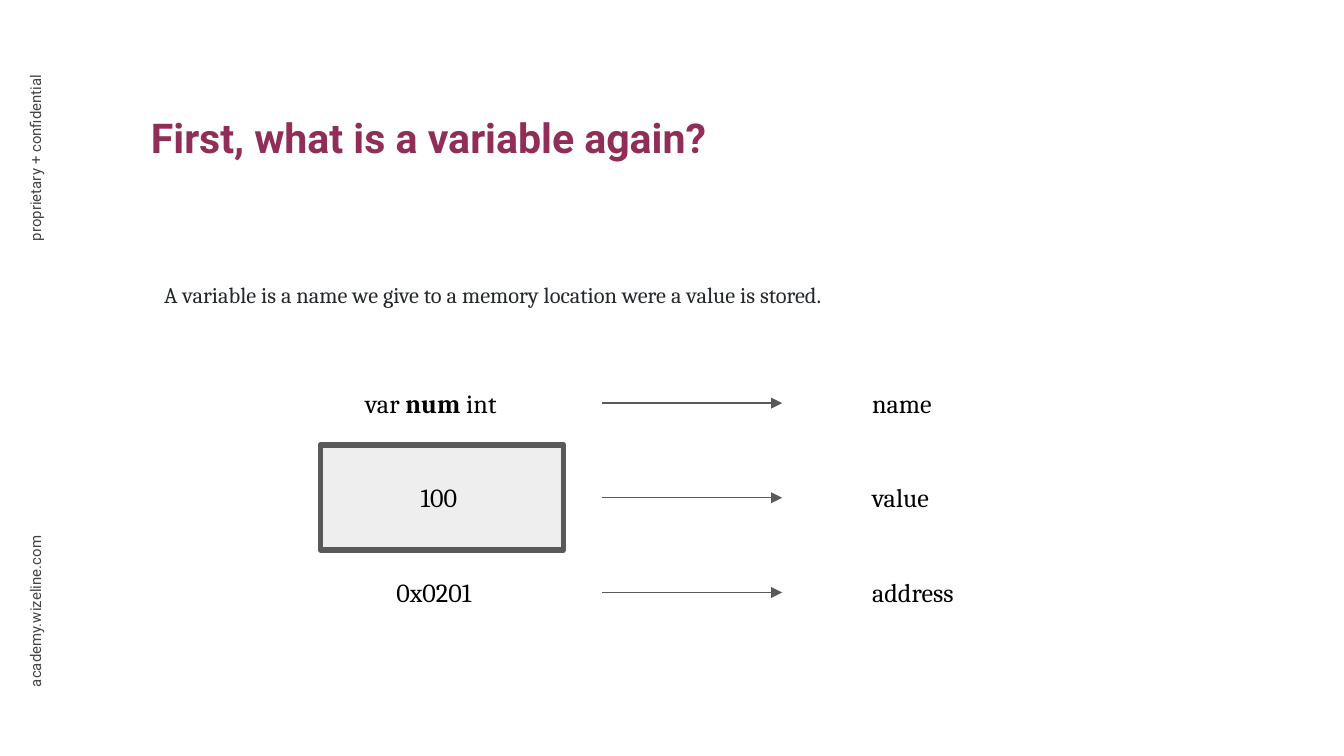
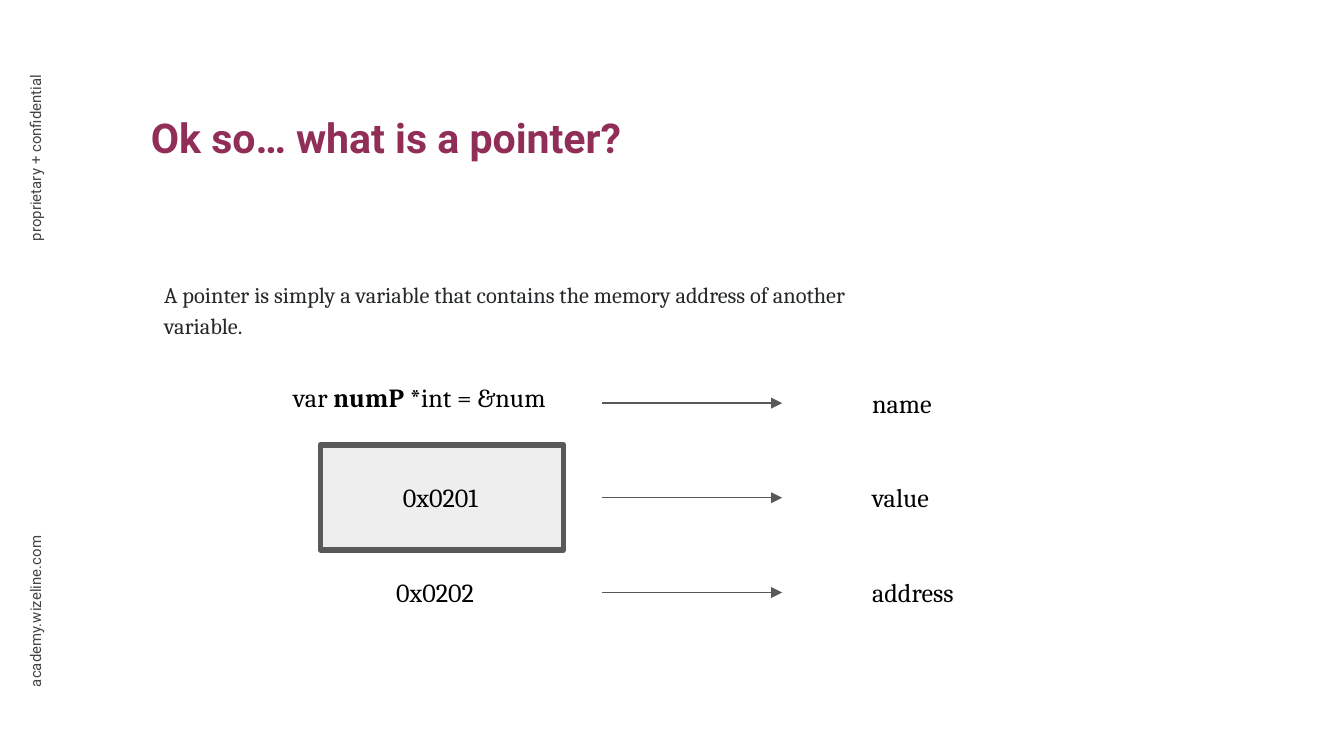
from lxml.etree import SubElement
from pptx import Presentation
from pptx.dml.color import RGBColor as RGB
from pptx.enum.shapes import MSO_CONNECTOR as Connector, MSO_SHAPE as Shape
from pptx.enum.text import MSO_AUTO_SIZE as AutoSize, PP_ALIGN as Align
from pptx.oxml.ns import qn
from pptx.util import Pt

COLORS = {
    "title": "902E57",
    "body": "25282A",
    "margin": "434343",
    "diagram": "000000",
    "stroke": "595959",
    "cell": "EEEEEE",
}
SANS, SERIF = "Roboto", "Cambria"
ROW_PITCH, ROW_HEIGHT = 50.75, 31.7
ROW_LABELS = ("name", "value", "address")

SLIDES = [
    {
        "title": "First, what is a variable again?",
        "body": "A variable is a name we give to a memory location were a value is stored.",
        "body_height": 28,
        "rows": [
            (38.6, 0, 96.5, ["var ", "num", " int"]),
            (68.2, 0, 54, ["100"]),
            (55.2, 0, 62, ["0x0201"]),
        ],
    },
    {
        "title": "Ok so… what is a pointer?",
        "body": "A pointer is simply a variable that contains the memory address of another variable.",
        "body_height": 46,
        "rows": [
            (0, -3, 181.4, ["var ", "numP ", "*int = &num"]),
            (58.8, 0, 64, ["0x0201"]),
            (55.2, 0, 64, ["0x0202"]),
        ],
    },
]


def add_text(slide, box, pieces, size, font, color, inset=0, bold=None):
    """Add a wrapped text box, the second of several pieces bold, and return it."""
    holder = slide.shapes.add_textbox(*map(Pt, box))
    frame = holder.text_frame
    frame.word_wrap = True
    frame.margin_left = frame.margin_right = Pt(inset)
    frame.margin_top = frame.margin_bottom = Pt(inset)
    paragraph = frame.paragraphs[0]
    paragraph.font.size, paragraph.font.name = Pt(size), font
    paragraph.font.bold = bold
    paragraph.font.color.rgb = RGB.from_string(COLORS[color])
    for index, piece in enumerate(pieces):
        run = paragraph.add_run()
        run.text = piece
        if index == 1:
            run.font.bold = True
    return holder


def add_margin_note(slide, box, note, align):
    """Add a small note that reads upwards along the left edge."""
    holder = add_text(slide, box, [note], 8, SANS, "margin", 1.8)
    holder.rotation = 270
    holder.text_frame.paragraphs[0].alignment = align


def add_frame(slide, title):
    """Add the margin notes and the title that every slide carries."""
    add_margin_note(slide, (-33.8, 321.8, 103.7, 11.5), "academy.wizeline.com", Align.CENTER)
    add_margin_note(slide, (-36.7, 87.1, 109.4, 11.5), "proprietary + confidential", Align.RIGHT)
    add_text(slide, (80.9, 60.5, 330, 37.4), [title], 22, SANS, "title", bold=True)


def add_body(slide, box, body):
    """Add the sentence that explains the diagram."""
    holder = add_text(slide, box, [body], 12, SERIF, "body", 7.2)
    holder.text_frame.paragraphs[0].line_spacing = 1.15


def add_memory_cell(slide, box):
    """Add the outlined cell that holds the stored value."""
    cell = slide.shapes.add_shape(Shape.RECTANGLE, *map(Pt, box))
    cell.shadow.inherit = False
    cell.fill.solid()
    cell.fill.fore_color.rgb = RGB.from_string(COLORS["cell"])
    cell.line.color.rgb = RGB.from_string(COLORS["stroke"])
    cell.line.width = Pt(3)
    SubElement(cell.line._get_or_add_ln(), qn("a:round"))


def add_arrow(slide, left, right, y):
    """Add a horizontal arrow pointing right."""
    arrow = slide.shapes.add_connector(Connector.STRAIGHT, Pt(left), Pt(y), Pt(right), Pt(y))
    arrow.line.color.rgb = RGB.from_string(COLORS["stroke"])
    arrow.line.width = Pt(0.75)
    SubElement(arrow.line._get_or_add_ln(), qn("a:tailEnd"), type="triangle")
    SubElement(arrow._element.spPr, qn("a:effectLst"))


def add_diagram(slide, left, top, rows):
    """Add the memory cell and its three labelled rows from the given corner."""
    def add_entry(x, y, width, pieces):
        """Add one diagram text relative to the corner."""
        box = (left + x, top + y, width, ROW_HEIGHT)
        entry = add_text(slide, box, pieces, 14, SERIF, "diagram", 7.2)
        entry.text_frame.auto_size = AutoSize.SHAPE_TO_FIT_TEXT

    add_memory_cell(slide, (left + 21.6, top + 38.2, 130.3, 56.2))
    for index, (label, (x, shift, width, pieces)) in enumerate(zip(ROW_LABELS, rows)):
        row_top = index * ROW_PITCH
        add_entry(x, row_top + shift, width, pieces)
        add_arrow(slide, left + 172.6, left + 269, top + row_top + ROW_HEIGHT / 2)
        add_entry(310.1, row_top, 88.6, [label])


def main():
    """Build the slides and save the presentation."""
    deck = Presentation()
    deck.slide_width, deck.slide_height = Pt(720), Pt(405)
    for content in SLIDES:
        slide = deck.slides.add_slide(deck.slide_layouts[6])
        add_frame(slide, content["title"])
        add_body(slide, (80.9, 141.1, 408.2, content["body_height"]), content["body"])
        add_diagram(slide, 150, 200.1, content["rows"])
    deck.save("out.pptx")


if __name__ == "__main__":
    main()
